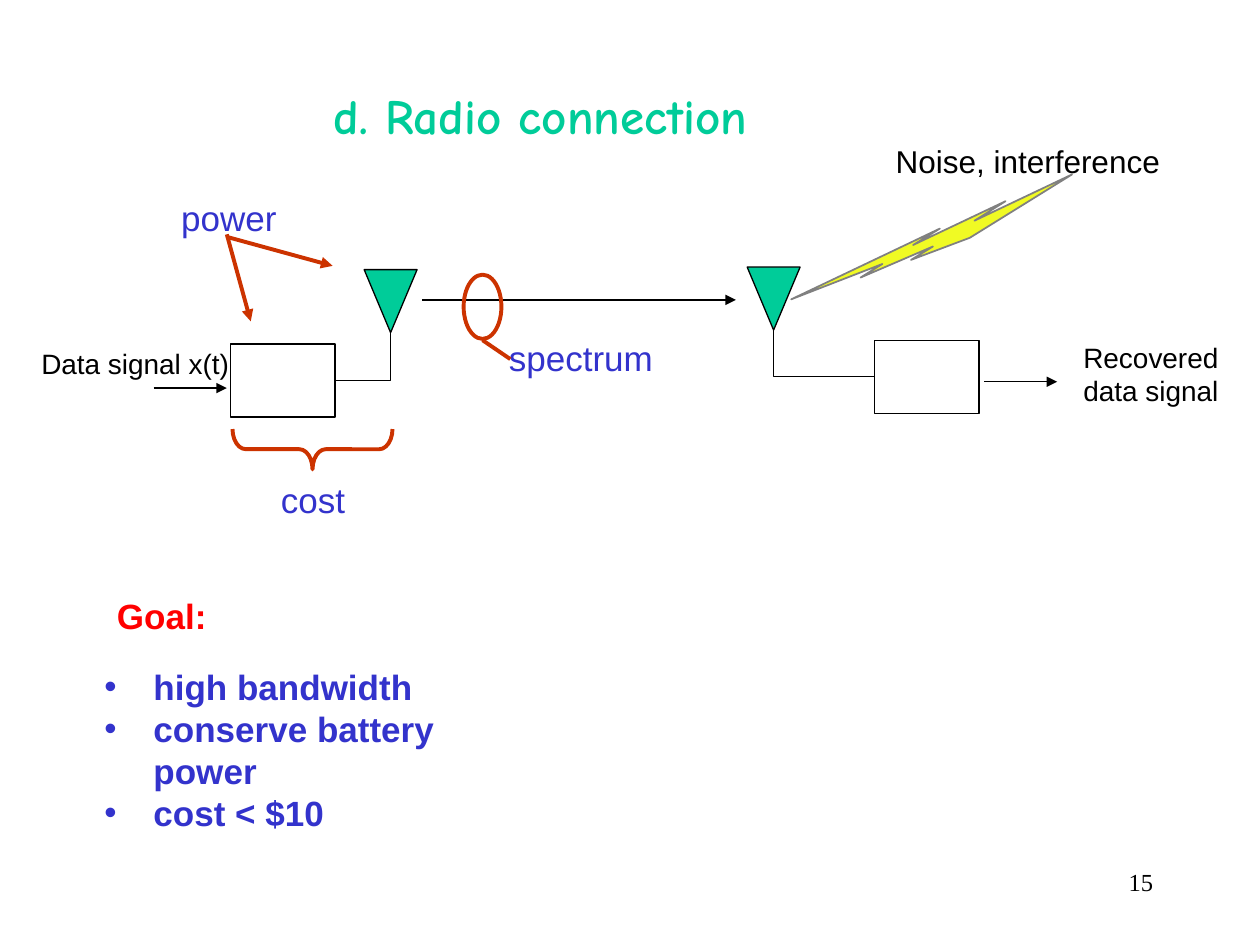
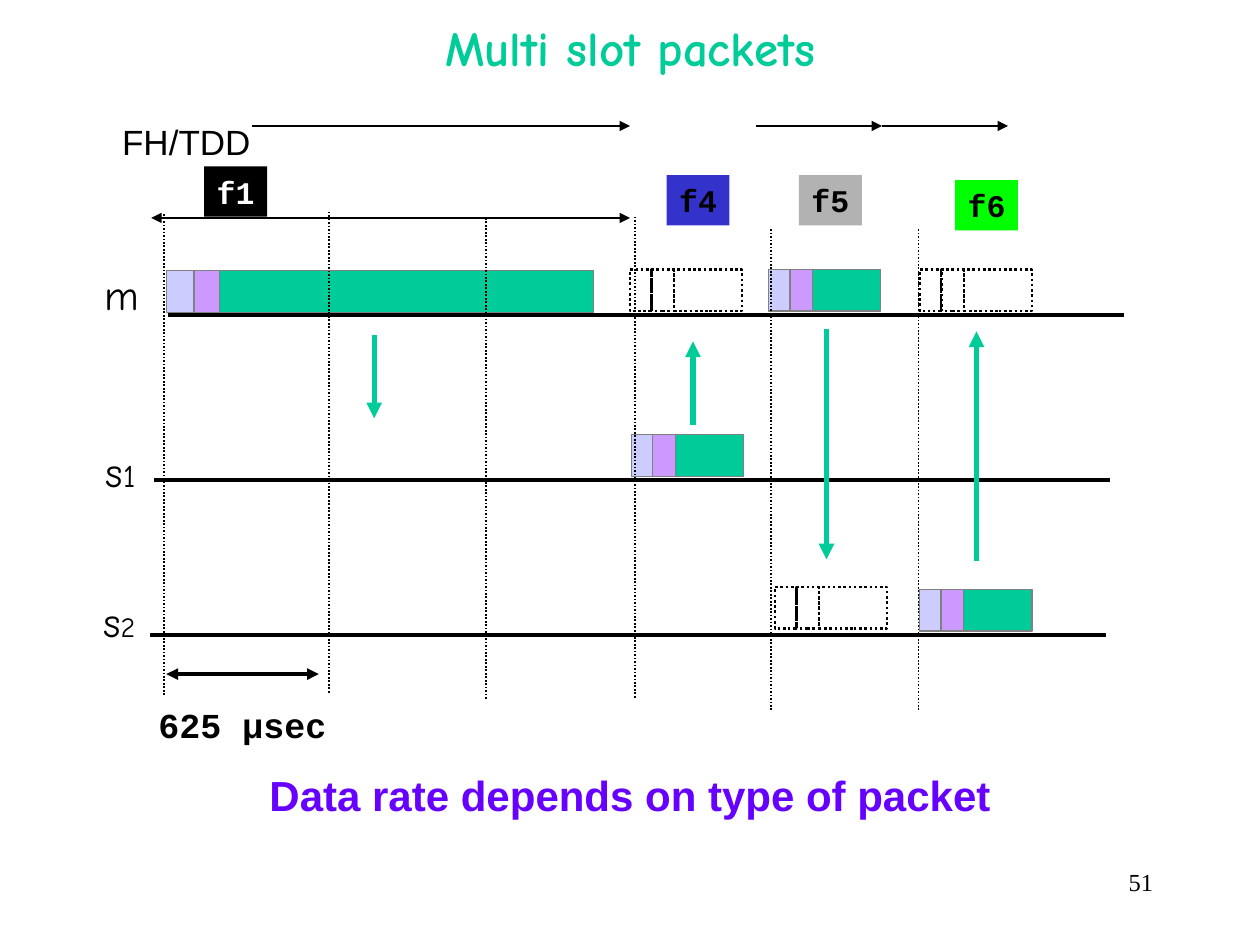
from itertools import accumulate

from lxml.etree import SubElement
from pptx import Presentation
from pptx.dml.color import RGBColor
from pptx.enum.dml import MSO_LINE
from pptx.enum.shapes import MSO_CONNECTOR, MSO_SHAPE
from pptx.enum.text import MSO_ANCHOR, MSO_AUTO_SIZE, PP_ALIGN
from pptx.oxml.ns import qn
from pptx.util import Inches, Pt

BLACK = RGBColor(0x00, 0x00, 0x00)
WHITE = RGBColor(0xFF, 0xFF, 0xFF)
GREEN = RGBColor(0x00, 0xCC, 0x99)
BLUE = RGBColor(0x33, 0x33, 0xCC)
RED = RGBColor(0xFF, 0x00, 0x00)
RUST = RGBColor(0xCC, 0x33, 0x00)
YELLOW = RGBColor(0xF0, 0xFA, 0x24)
GRAY = RGBColor(0x80, 0x80, 0x80)
SILVER = RGBColor(0xB2, 0xB2, 0xB2)
LIME = RGBColor(0x00, 0xFF, 0x00)
VIOLET = RGBColor(0x66, 0x00, 0xFF)
LAVENDER = RGBColor(0xCC, 0xCC, 0xFF)
LILAC = RGBColor(0xCC, 0x99, 0xFF)

TITLE_FONT = "Comic Neue"
BODY_FONT = "Arial"
CODE_FONT = "Courier New"
PAGE_FONT = "Times New Roman"

SHORT_PACKET = (0.17, 0.18, 0.54)
LONG_PACKET = (0.22, 0.2, 2.97)
ROW_LENGTH = 7.59
SLOT_HEIGHT = 3.83


def inches(values):
    return [Inches(value) for value in values]


def style_span(span, size, color, font=BODY_FONT, bold=False):
    span.font.size = Pt(size)
    span.font.name = font
    span.font.bold = bold
    span.font.color.rgb = color


def fill_text(frame, text, size, color, font=BODY_FONT, bold=False,
              align=PP_ALIGN.LEFT, anchor=MSO_ANCHOR.TOP, wrap=False):
    frame.text = text
    frame.word_wrap = wrap
    frame.auto_size = MSO_AUTO_SIZE.NONE
    frame.vertical_anchor = anchor
    for para in frame.paragraphs:
        para.alignment = align
        for span in para.runs:
            style_span(span, size, color, font, bold)


def add_label(slide, area, text, size, color=BLACK, **options):
    box = slide.shapes.add_textbox(*inches(area))
    fill_text(box.text_frame, text, size, color, **options)
    return box


def add_bullets(slide, area, items):
    box = add_label(slide, area, "\n".join(items), 20, BLUE, bold=True, wrap=True)
    for para in box.text_frame.paragraphs:
        properties = para._p.get_or_add_pPr()
        properties.set("marL", str(Inches(0.39)))
        properties.set("indent", str(-Inches(0.39)))
        SubElement(properties, qn("a:buFont"), typeface=BODY_FONT)
        SubElement(properties, qn("a:buChar"), char="•")


def add_titled_slide(deck, title, area, page_number):
    slide = deck.slides.add_slide(deck.slide_layouts[5])
    heading = slide.shapes.title
    heading.left, heading.top, heading.width, heading.height = inches(area)
    fill_text(heading.text_frame, title, 28, GREEN, font=TITLE_FONT, bold=True,
              align=PP_ALIGN.CENTER, anchor=MSO_ANCHOR.MIDDLE, wrap=True)
    add_label(slide, (7.17, 6.83, 2.08, 0.5), page_number, 14, font=PAGE_FONT,
              align=PP_ALIGN.RIGHT)
    return slide


def style_shape(shape, fill, line, weight):
    shape.shadow.inherit = False
    if fill is None:
        shape.fill.background()
    else:
        shape.fill.solid()
        shape.fill.fore_color.rgb = fill
    if line is None:
        shape.line.fill.background()
    else:
        shape.line.color.rgb = line
        shape.line.width = Pt(weight)


def add_figure(slide, kind, area, fill=None, line=BLACK, weight=0.75):
    shape = slide.shapes.add_shape(kind, *inches(area))
    style_shape(shape, fill, line, weight)
    return shape


def add_arrowheads(shape, *ends):
    outline = shape.line._get_or_add_ln()
    for end in ends:
        SubElement(outline, qn(f"a:{end}"), type="triangle")


def style_connector(connector, color, weight):
    connector.line.color.rgb = color
    connector.line.width = Pt(weight)
    SubElement(connector._element.spPr, qn("a:effectLst"))


def add_line(slide, start, end, color=BLACK, weight=0.75, dotted=False, heads=()):
    connector = slide.shapes.add_connector(
        MSO_CONNECTOR.STRAIGHT, *inches(start + end))
    style_connector(connector, color, weight)
    if dotted:
        connector.line.dash_style = MSO_LINE.ROUND_DOT
    add_arrowheads(connector, *heads)


def add_arrow(slide, start, end, color=BLACK, weight=0.75):
    add_line(slide, start, end, color, weight, heads=("tailEnd",))


def add_double_arrow(slide, start, end, weight):
    add_line(slide, start, end, weight=weight, heads=("headEnd", "tailEnd"))


def add_feed(slide, device, side, antenna):
    feed = slide.shapes.add_connector(MSO_CONNECTOR.ELBOW, 0, 0, 0, 0)
    feed.begin_connect(device, side)
    feed.end_connect(antenna, 2)
    feed._element.spPr.find(qn("a:prstGeom")).set("prst", "bentConnector2")
    style_connector(feed, BLACK, 0.75)


def curve_point(points, t):
    weights = ((1 - t) ** 3, 3 * t * (1 - t) ** 2, 3 * t * t * (1 - t), t ** 3)
    return tuple(sum(w * point[axis] for w, point in zip(weights, points))
                 for axis in (0, 1))


def add_hop(slide, points, steps=12):
    vertices = [curve_point(points[first:first + 4], step / steps)
                for first in range(0, len(points) - 1, 3)
                for step in range(1, steps + 1)]
    builder = slide.shapes.build_freeform(*points[0], scale=Inches(1))
    builder.add_line_segments(vertices, close=False)
    hop = builder.convert_to_shape()
    style_shape(hop, None, BLACK, 1.5)
    add_arrowheads(hop, "tailEnd")


def add_packet(slide, left, top, widths=SHORT_PACKET, empty=False):
    offsets = accumulate(widths[:-1], initial=0)
    for offset, width, color in zip(offsets, widths, (LAVENDER, LILAC, GREEN)):
        area = (left + offset, top, width, 0.33)
        if empty:
            field = add_figure(slide, MSO_SHAPE.RECTANGLE, area, weight=1.5)
            field.line.dash_style = MSO_LINE.ROUND_DOT
        else:
            add_figure(slide, MSO_SHAPE.RECTANGLE, area, color, GRAY)


def add_frequency(slide, left, top, text, fill, color=BLACK):
    tag = add_figure(slide, MSO_SHAPE.RECTANGLE, (left, top, 0.5, 0.4), fill, None)
    fill_text(tag.text_frame, text, 18, color, font=CODE_FONT, bold=True,
              align=PP_ALIGN.CENTER, anchor=MSO_ANCHOR.MIDDLE)


def add_row_name(slide, left, top, letter, digit="", digit_size=18):
    box = add_label(slide, (left, top, 0.45, 0.5), letter, 24, font=TITLE_FONT)
    if digit:
        span = box.text_frame.paragraphs[0].add_run()
        span.text = digit
        style_span(span, digit_size, BLACK, TITLE_FONT)


def build_radio_slide(deck):
    slide = add_titled_slide(deck, "d. Radio connection", (2.08, 0.63, 4.42, 0.57), "15")
    add_bullets(slide, (0.73, 5.23, 3.57, 1.44),
                ("high bandwidth", "conserve battery power", "cost < $10"))
    add_label(slide, (0.83, 4.67, 0.91, 0.44), "Goal:", 20, RED, bold=True)

    for device_area, side, antenna_area in (
            ((1.83, 2.73, 0.83, 0.58), 3, (2.89, 2.14, 0.42, 0.5)),
            ((6.94, 2.7, 0.83, 0.58), 1, (5.93, 2.12, 0.42, 0.5))):
        device = add_figure(slide, MSO_SHAPE.RECTANGLE, device_area)
        antenna = add_figure(slide, MSO_SHAPE.FLOWCHART_MERGE, antenna_area, GREEN)
        add_feed(slide, device, side, antenna)

    add_arrow(slide, (1.22, 3.08), (1.8, 3.08))
    add_arrow(slide, (7.81, 3.03), (8.39, 3.03))
    add_arrow(slide, (3.35, 2.38), (5.84, 2.38), weight=1)
    add_label(slide, (0.23, 2.7, 1.76, 0.37), "Data signal x(t)", 16, wrap=True)
    add_label(slide, (8.5, 2.65, 1.27, 0.64), "Recovered\ndata signal", 16)

    noise = add_figure(slide, MSO_SHAPE.LIGHTNING_BOLT, (6.19, 1.77, 2.43, 0.26),
                       YELLOW, GRAY, 1)
    noise.rotation = 151
    add_label(slide, (7.01, 1.08, 2.3, 0.4), "Noise, interference", 18)

    for left, top, width, text in ((2.13, 3.75, 0.71, "cost"),
                                   (1.34, 1.51, 0.96, "power"),
                                   (3.94, 2.62, 1.34, "spectrum")):
        add_label(slide, (left, top, width, 0.44), text, 20, BLUE)
    add_arrow(slide, (1.8, 1.86), (1.99, 2.55), RUST, 2.25)
    add_arrow(slide, (1.8, 1.88), (2.64, 2.11), RUST, 2.25)
    cost_brace = add_figure(slide, MSO_SHAPE.RIGHT_BRACE, (2.32, 2.93, 0.32, 1.27),
                            line=RUST, weight=2.25)
    cost_brace.adjustments[0] = 0.33
    cost_brace.rotation = 90
    add_figure(slide, MSO_SHAPE.OVAL, (3.68, 2.18, 0.3, 0.51), line=RUST, weight=2.25)
    add_line(slide, (3.83, 2.7), (4.05, 2.85), RUST, 2.25)


def build_packet_slide(deck):
    slide = add_titled_slide(deck, "Multi slot packets", (0.75, 0, 8.5, 0.75), "51")
    for left, top in ((1.33, 2.5), (1.22, 3.81), (1.19, 5.04)):
        add_line(slide, (left, top), (left + ROW_LENGTH, top), weight=2.25)
    add_row_name(slide, 0.73, 2.08, "m")
    add_row_name(slide, 0.74, 3.49, "s", "1")
    add_row_name(slide, 0.72, 4.68, "s", "2", 16)

    add_packet(slide, 1.32, 2.15, LONG_PACKET)
    for left, top in ((5.01, 3.45), (6.1, 2.14), (7.3, 4.68)):
        add_packet(slide, left, top)
    for left, top in ((5, 2.14), (6.15, 4.66), (7.3, 2.14)):
        add_packet(slide, left, top, empty=True)
    for left, top in ((1.3, 1.7), (2.61, 1.68), (3.86, 1.73),
                      (5.04, 1.72), (6.12, 1.82), (7.29, 1.82)):
        add_line(slide, (left, top), (left, top + SLOT_HEIGHT), weight=1, dotted=True)

    for left, start, end in ((2.97, 2.66, 3.32), (5.5, 3.37, 2.71),
                             (6.56, 2.61, 4.44), (7.75, 4.45, 2.63)):
        add_arrow(slide, (left, start), (left, end), GREEN, 3)
    add_double_arrow(slide, (1.32, 5.35), (2.53, 5.35), 2.25)
    add_double_arrow(slide, (1.2, 1.73), (5, 1.73), 1)

    add_frequency(slide, 1.62, 1.32, "f1", BLACK, WHITE)
    add_frequency(slide, 5.29, 1.39, "f4", BLUE)
    add_frequency(slide, 6.34, 1.39, "f5", SILVER)
    add_frequency(slide, 7.58, 1.43, "f6", LIME)

    add_hop(slide, ((2.02, 1.25), (2.32, 1.14), (2.63, 1.03), (3.03, 0.98),
                    (3.44, 0.94), (4.06, 0.92), (4.47, 0.97),
                    (4.88, 1.02), (5.18, 1.15), (5.49, 1.28)))
    short_hop = ((5.55, 1.3), (5.64, 1.18), (5.73, 1.07), (5.85, 1.02),
                 (5.97, 0.98), (6.16, 0.96), (6.28, 1.01),
                 (6.4, 1.06), (6.49, 1.19), (6.58, 1.32))
    for shift in (0, 1.22):
        add_hop(slide, [(x + shift, y) for x, y in short_hop])

    add_label(slide, (0.78, 0.9, 1.4, 0.44), "FH/TDD", 20,
              align=PP_ALIGN.CENTER, anchor=MSO_ANCHOR.MIDDLE)
    add_label(slide, (1.16, 5.53, 1.53, 0.44), "625 µsec", 20, font=CODE_FONT,
              bold=True, align=PP_ALIGN.CENTER, anchor=MSO_ANCHOR.MIDDLE)
    add_label(slide, (2.04, 6.06, 5.92, 0.5), "Data rate depends on type of packet",
              24, VIOLET, bold=True, anchor=MSO_ANCHOR.MIDDLE)


def main():
    deck = Presentation()
    deck.slide_width = Inches(10)
    deck.slide_height = Inches(7.5)
    build_radio_slide(deck)
    build_packet_slide(deck)
    deck.save("out.pptx")


if __name__ == "__main__":
    main()
